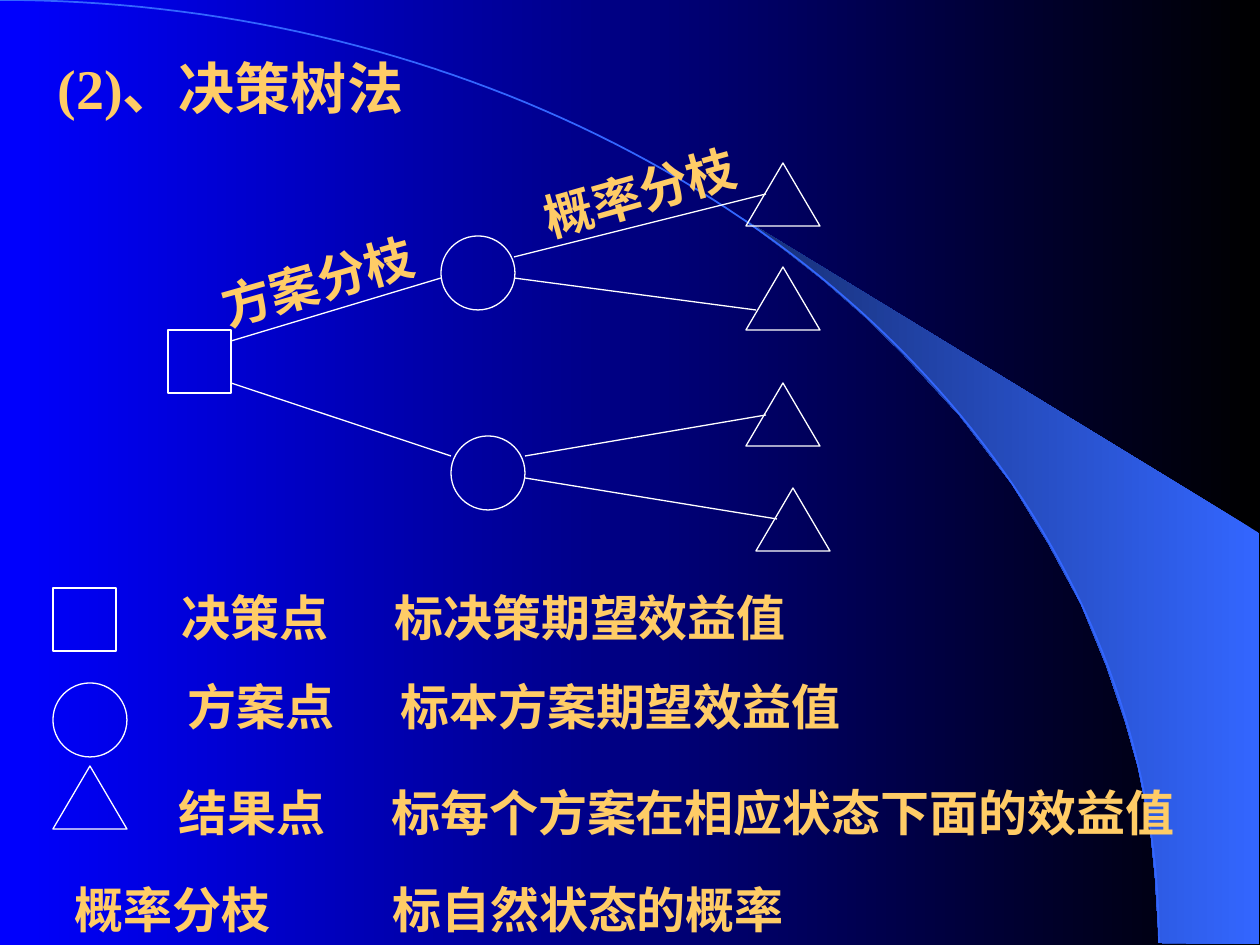
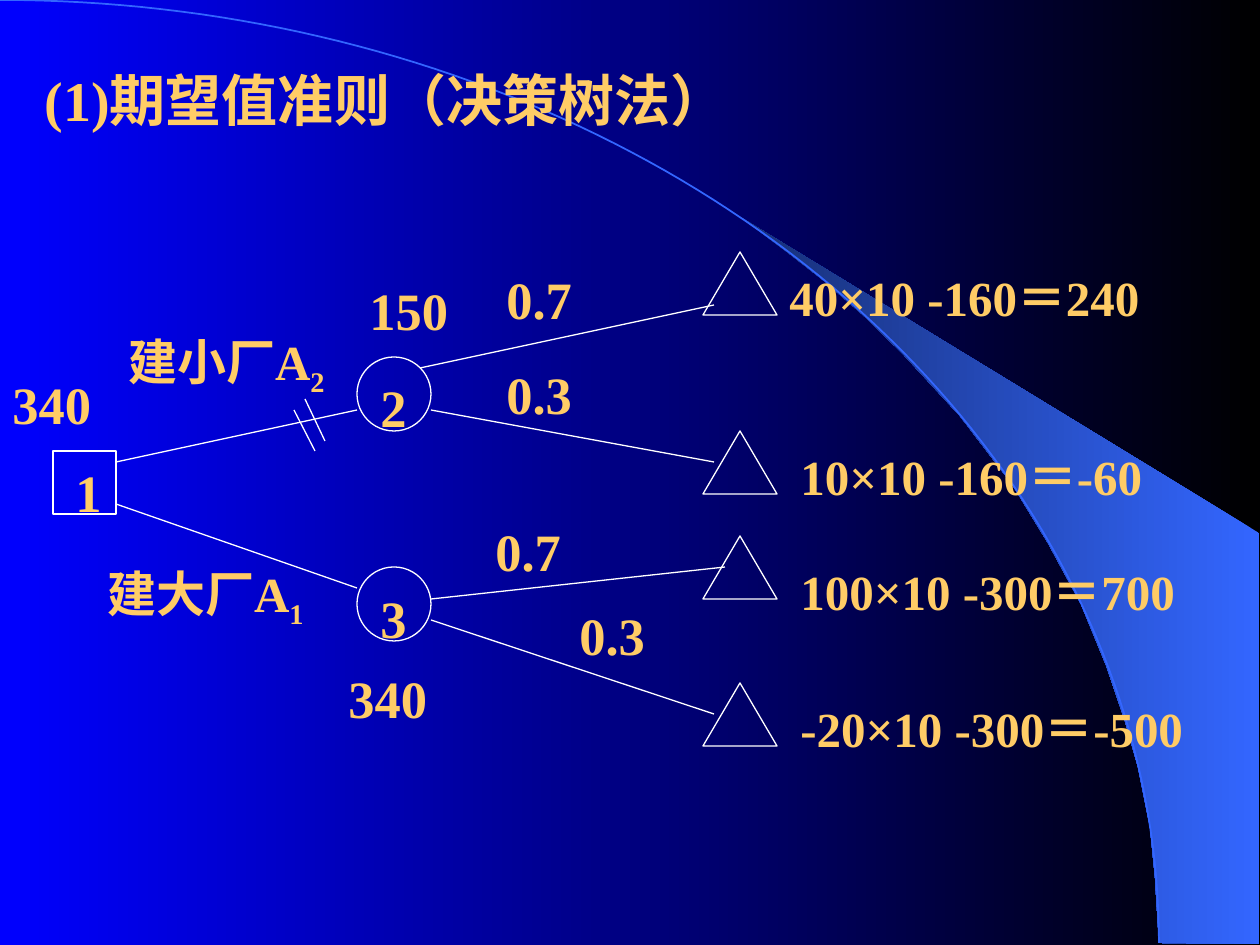
from dataclasses import dataclass
from math import cos, pi, sin

from lxml.etree import SubElement
from pptx import Presentation
from pptx.dml.color import RGBColor
from pptx.dml.fill import FillFormat
from pptx.enum.shapes import MSO_CONNECTOR, MSO_SHAPE
from pptx.enum.text import MSO_ANCHOR, MSO_AUTO_SIZE, PP_ALIGN
from pptx.oxml.ns import qn
from pptx.shapes.autoshape import Shape
from pptx.slide import Slide, SlideLayout
from pptx.text.text import _Paragraph as Paragraph
from pptx.util import Emu, Pt

PX_PER_INCH = 126
PAGE_WIDTH, PAGE_HEIGHT = 1260, 945
TITLE_ONLY = 5

BLACK = RGBColor(0x00, 0x00, 0x00)
BLUE = RGBColor(0x00, 0x00, 0xFF)
SKY = RGBColor(0x33, 0x66, 0xFF)
NAVY = RGBColor(0x17, 0x2F, 0x75)
WHITE = RGBColor(0xFF, 0xFF, 0xFF)
GOLD = RGBColor(0xFF, 0xCC, 0x66)
FONT = "Times New Roman"

ARC_RADIUS_X, ARC_RADIUS_Y = 1159, 943
ARC_STEPS = 90
BAND_OUTLINE = [
    (1159, 943), (1259, 944), (1259, 533), (742, 218), (786, 251), (823, 280),
    (863, 315), (902, 353), (960, 416), (1012, 484), (1048, 543), (1081, 604),
    (1106, 665), (1125, 721), (1138, 767), (1150, 827), (1155, 877),
]

DECISION = MSO_SHAPE.RECTANGLE
CHANCE = MSO_SHAPE.OVAL
OUTCOME = MSO_SHAPE.ISOSCELES_TRIANGLE
NODE_SIZES = {DECISION: (63, 63), CHANCE: (74, 74), OUTCOME: (74, 63)}


@dataclass(frozen=True)
class Node:
    kind: MSO_SHAPE
    left: int
    top: int


@dataclass(frozen=True)
class Branch:
    x1: int
    y1: int
    x2: int
    y2: int


@dataclass(frozen=True)
class Label:
    text: str
    left: int
    top: int
    width: int
    height: int = 113
    size: int = 28
    spacing: float = 1.7
    rotation: float = 0
    wraps: bool = True
    tab: int = 0
    subscript: str = ""


def value_label(text: str, left: int, top: int) -> Label:
    return Label(text, left, top, 252, 63, 30, 0.8)


def node_number(text: str, left: int, top: int) -> Label:
    return Label(text, left, top, 53, 120, 30)


def payoff(text: str, left: int, top: int) -> Label:
    return Label(text, left, top, 472)


def plan_label(text: str, subscript: str, left: int, top: int) -> Label:
    return Label(text, left, top, 557, 79, spacing=1.0, subscript=subscript)


METHOD_NODES = [
    Node(DECISION, 168, 330),
    Node(CHANCE, 441, 236),
    Node(CHANCE, 451, 436),
    Node(OUTCOME, 746, 163),
    Node(OUTCOME, 746, 267),
    Node(OUTCOME, 746, 383),
    Node(OUTCOME, 756, 488),
    Node(DECISION, 53, 588),
    Node(CHANCE, 53, 683),
    Node(OUTCOME, 53, 766),
]
METHOD_BRANCHES = [
    Branch(231, 341, 441, 278),
    Branch(231, 383, 451, 456),
    Branch(514, 257, 766, 194),
    Branch(514, 278, 756, 310),
    Branch(525, 456, 766, 415),
    Branch(525, 478, 777, 519),
]
METHOD_LABELS = [
    Label("方案分枝", 199, 184, 373, rotation=344.1),
    Label("概率分枝", 524, 116, 221, rotation=344.2, wraps=False),
    Label("决策点\t标决策期望效益值", 169, 588, 882, 66, spacing=0.9, tab=213),
    Label("方案点\t标本方案期望效益值", 175, 677, 882, 66, spacing=0.9, tab=213),
    Label("结果点\t标每个方案在相应状态下面的效益值", 166, 735, 1060, tab=213),
    Label("概率分枝\t标自然状态的概率", 62, 832, 882, tab=318),
]

CRITERION_NODES = [
    Node(DECISION, 53, 451),
    Node(CHANCE, 357, 357),
    Node(CHANCE, 357, 567),
    *(Node(OUTCOME, 703, top) for top in (252, 431, 536, 683)),
]
CRITERION_BRANCHES = [
    Branch(116, 462, 357, 410),
    Branch(116, 504, 357, 588),
    Branch(305, 399, 325, 441),
    Branch(294, 410, 315, 451),
    Branch(420, 368, 714, 305),
    Branch(431, 410, 714, 462),
    Branch(431, 599, 725, 567),
    Branch(431, 620, 714, 714),
]
CRITERION_LABELS = [
    node_number("1", 63, 410),
    node_number("2", 368, 325),
    node_number("3", 368, 536),
    value_label("340", 0, 378),
    value_label("150", 357, 284),
    value_label("340", 336, 672),
    value_label("0.7", 494, 273),
    value_label("0.3", 494, 368),
    value_label("0.7", 483, 525),
    value_label("0.3", 567, 609),
    plan_label("建小厂A", "2", 116, 325),
    plan_label("建大厂A", "1", 95, 557),
    payoff("40×10 -160＝240", 777, 220),
    payoff("10×10 -160＝-60", 788, 399),
    payoff("100×10 -300＝700", 788, 514),
    payoff("-20×10 -300＝-500", 788, 651),
]


def px(length: float) -> Emu:
    return Emu(round(length * 914400 / PX_PER_INCH))


def fill_gradient(fill: FillFormat, right: RGBColor, left: RGBColor) -> None:
    fill.gradient()
    fill.gradient_angle = 180
    for stop, color in zip(fill.gradient_stops, (right, left)):
        stop.color.rgb = color


def add_outline(page: Slide, points: list[tuple[float, float]], close: bool) -> Shape:
    start, *rest = [(px(x), px(y)) for x, y in points]
    builder = page.shapes.build_freeform(*start)
    builder.add_line_segments(rest, close=close)
    shape = builder.convert_to_shape()
    shape.shadow.inherit = False
    return shape


def decorate_layout(layout: SlideLayout, page: Slide) -> None:
    """Draw the band and the arc on the page, then move them to the layout."""
    band = add_outline(page, BAND_OUTLINE, close=True)
    fill_gradient(band.fill, SKY, NAVY)
    band.line.fill.background()

    angles = [pi / 2 * step / ARC_STEPS for step in range(ARC_STEPS + 1)]
    arc_points = [
        (ARC_RADIUS_X * sin(angle), ARC_RADIUS_Y * (1 - cos(angle))) for angle in angles
    ]
    arc = add_outline(page, arc_points, close=False)
    arc.fill.background()
    arc.line.color.rgb = SKY
    arc.line.width = Pt(1)

    for index, shape in enumerate((band, arc)):
        shape.element.xpath(".//p:cNvPr")[0].set("id", str(101 + index))
        layout.shapes.element.insert(2 + index, shape.element)


def format_para(para: Paragraph, size: int, spacing: float) -> None:
    para.alignment = PP_ALIGN.LEFT
    para.line_spacing = spacing
    for span in para.runs:
        span.font.name = FONT
        span.font.size = Pt(size)
        span.font.bold = True
        span.font.color.rgb = GOLD


def set_title(page: Slide, text: str, left: int, top: int, height: int, spacing: float) -> None:
    title = page.shapes.title
    title.left, title.top = px(left), px(top)
    title.width, title.height = px(1155), px(height)
    frame = title.text_frame
    frame.text = text
    frame.word_wrap = True
    frame.auto_size = MSO_AUTO_SIZE.NONE
    frame.vertical_anchor = MSO_ANCHOR.TOP
    format_para(frame.paragraphs[0], 32, spacing)


def add_node(page: Slide, node: Node) -> None:
    width, height = NODE_SIZES[node.kind]
    shape = page.shapes.add_shape(
        node.kind, px(node.left), px(node.top), px(width), px(height)
    )
    shape.shadow.inherit = False
    shape.fill.background()
    shape.line.color.rgb = WHITE
    shape.line.width = Pt(0.75)


def add_branch(page: Slide, branch: Branch) -> None:
    line = page.shapes.add_connector(
        MSO_CONNECTOR.STRAIGHT,
        px(branch.x1), px(branch.y1), px(branch.x2), px(branch.y2),
    )
    line.line.color.rgb = WHITE
    line.line.width = Pt(0.75)
    SubElement(line.element.spPr, qn("a:effectLst"))


def add_label(page: Slide, label: Label) -> None:
    box = page.shapes.add_textbox(
        px(label.left), px(label.top), px(label.width), px(label.height)
    )
    box.rotation = label.rotation
    frame = box.text_frame
    frame.text = label.text
    frame.word_wrap = label.wraps
    frame.auto_size = MSO_AUTO_SIZE.SHAPE_TO_FIT_TEXT
    para = frame.paragraphs[0]
    if label.tab:
        properties = box.element.xpath(".//a:p")[0].get_or_add_pPr()
        tabs = SubElement(properties, qn("a:tabLst"))
        SubElement(tabs, qn("a:tab"), pos=str(px(label.tab)), algn="l")
    if label.subscript:
        para.add_run().text = label.subscript
    format_para(para, label.size, label.spacing)
    if label.subscript:
        box.element.xpath(".//a:rPr")[-1].set("baseline", "-25000")


def add_tree(
    page: Slide, nodes: list[Node], branches: list[Branch], labels: list[Label]
) -> None:
    for node in nodes:
        add_node(page, node)
    for branch in branches:
        add_branch(page, branch)
    for label in labels:
        add_label(page, label)


def main() -> None:
    deck = Presentation()
    deck.slide_width, deck.slide_height = px(PAGE_WIDTH), px(PAGE_HEIGHT)
    fill_gradient(deck.slide_master.background.fill, BLACK, BLUE)
    layout = deck.slide_layouts[TITLE_ONLY]

    method = deck.slides.add_slide(layout)
    decorate_layout(layout, method)
    set_title(method, "(2)、决策树法", 45, 0, 127, 1.7)
    add_tree(method, METHOD_NODES, METHOD_BRANCHES, METHOD_LABELS)

    criterion = deck.slides.add_slide(layout)
    set_title(criterion, "(1)期望值准则（决策树法）", 32, 53, 87, 1.1)
    add_tree(criterion, CRITERION_NODES, CRITERION_BRANCHES, CRITERION_LABELS)

    deck.save("out.pptx")


if __name__ == "__main__":
    main()
